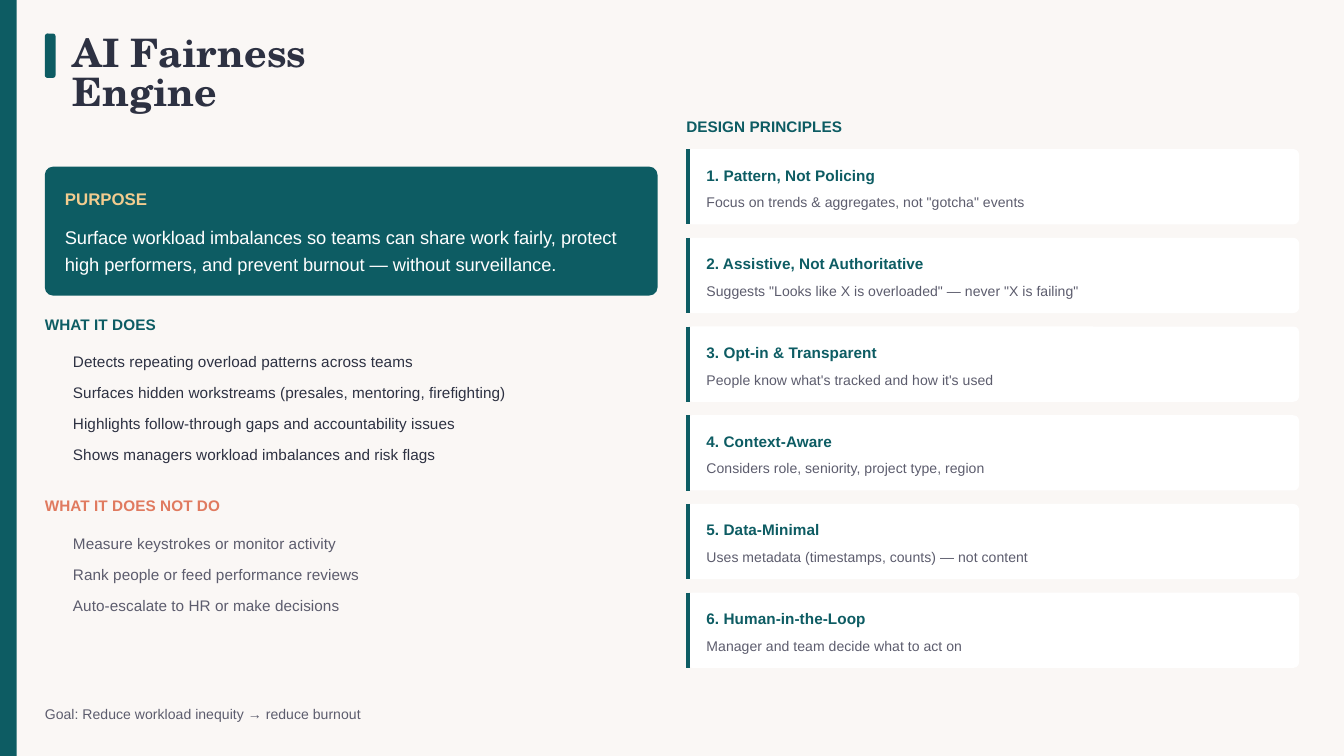
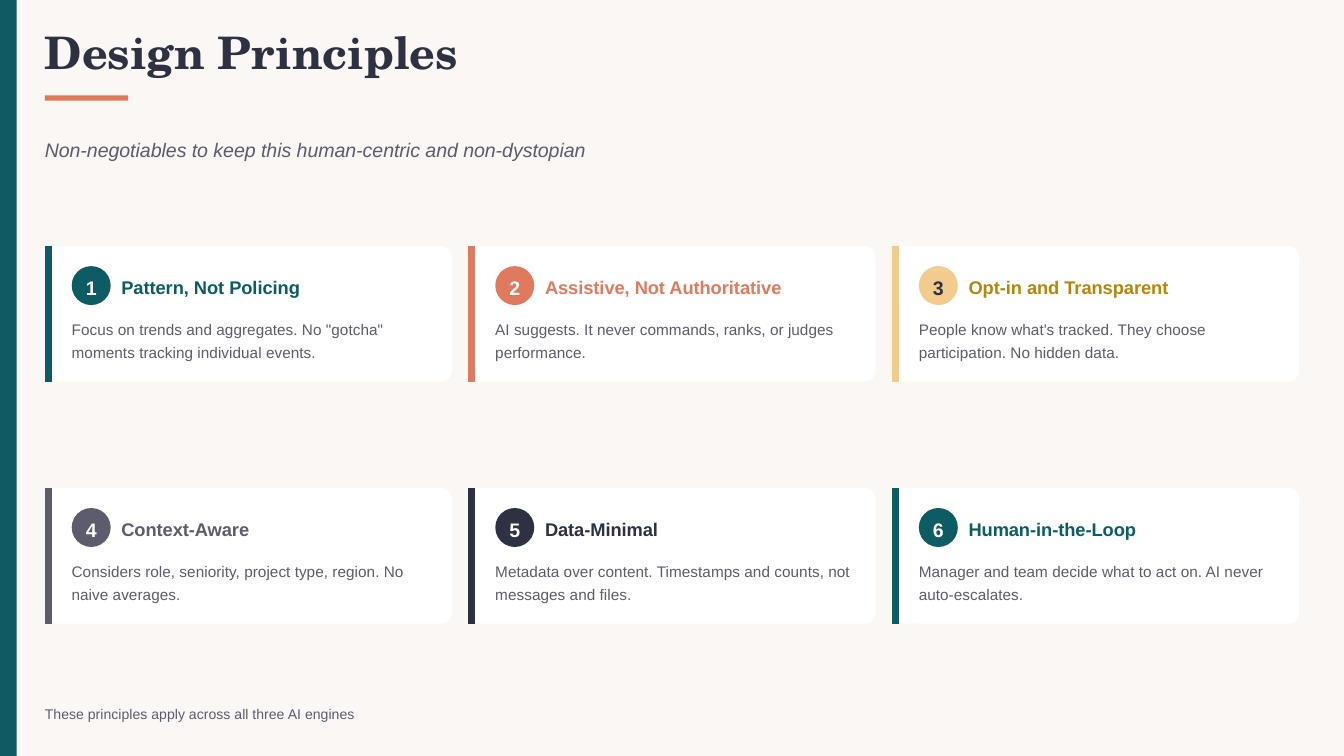
from dataclasses import dataclass

from lxml.etree import SubElement
from pptx import Presentation
from pptx.dml.color import RGBColor
from pptx.enum.shapes import MSO_CONNECTOR as Connector, MSO_SHAPE as Shape
from pptx.enum.text import MSO_ANCHOR as Anchor, PP_ALIGN as Align
from pptx.oxml.ns import qn
from pptx.util import Inches, Pt

TEAL = RGBColor(0x0D, 0x5C, 0x63)
CORAL = RGBColor(0xE0, 0x7A, 0x5F)
SAND = RGBColor(0xF2, 0xCC, 0x8F)
GOLD = RGBColor(0xB8, 0x86, 0x0B)
INK = RGBColor(0x2D, 0x31, 0x42)
GRAY = RGBColor(0x5C, 0x5C, 0x6D)
CREAM = RGBColor(0xFA, 0xF7, 0xF5)
WHITE = RGBColor(0xFF, 0xFF, 0xFF)

SANS = "Arial"
SERIF = "TeX Gyre Schola"
PAGE_WIDTH = 10
PAGE_HEIGHT = PAGE_WIDTH * 9 / 16
BAND_WIDTH = 1 / 8
MARGIN = 1 / 3
COLUMN_WIDTH = 4.56
RIGHT_COLUMN = PAGE_WIDTH - MARGIN - COLUMN_WIDTH
SMALL, BODY, LARGE, LEAD = 7.5, 8.25, 9.75, 10.5


@dataclass
class Box:
    left: float
    top: float
    width: float
    height: float

    def inner(self, dx, dy, width, height):
        return Box(self.left + dx, self.top + dy, width, height)

    def lengths(self):
        return [Inches(n) for n in (self.left, self.top, self.width, self.height)]


def write(frame, lines, size, color, bold=False, italic=False, font=SANS,
          leading=1.4, after=0, align=Align.LEFT):
    frame.word_wrap = True
    frame.margin_left = frame.margin_right = 0
    frame.margin_top = frame.margin_bottom = 0
    for index, line in enumerate(lines):
        para = frame.add_paragraph() if index else frame.paragraphs[0]
        para.text = line
        para.alignment = align
        para.line_spacing = Pt(size * leading)
        para.space_after = Pt(after)
        para.font.name = font
        para.font.size = Pt(size)
        para.font.bold = bold
        para.font.italic = italic
        para.font.color.rgb = color


def add_text(page, box, text, size, color, **style):
    lines = [text] if isinstance(text, str) else text
    write(page.shapes.add_textbox(*box.lengths()).text_frame, lines, size, color, **style)


def add_block(page, box, color, kind=Shape.RECTANGLE, rounding=None):
    block = page.shapes.add_shape(kind, *box.lengths())
    block.shadow.inherit = False
    block.fill.solid()
    block.fill.fore_color.rgb = color
    block.line.fill.background()
    if rounding is not None:
        block.adjustments[0] = rounding
    return block


def add_card(page, box, rounding, accent, weight):
    add_block(page, box, WHITE, Shape.ROUNDED_RECTANGLE, rounding)
    x = Inches(box.left) + Pt(weight / 2)
    edge = page.shapes.add_connector(
        Connector.STRAIGHT, x, Inches(box.top), x, Inches(box.top + box.height))
    edge.line.color.rgb = accent
    edge.line.width = Pt(weight)
    SubElement(edge._element.spPr, qn("a:effectLst"))


def add_page(deck, footer):
    page = deck.slides.add_slide(deck.slide_layouts[6])
    page.background.fill.solid()
    page.background.fill.fore_color.rgb = CREAM
    add_block(page, Box(0, 0, BAND_WIDTH, PAGE_HEIGHT), TEAL)
    add_text(page, Box(MARGIN, 5.23, 9.52, 0.15), footer, SMALL, GRAY)
    return page


def add_title(page, box, text, size):
    add_text(page, box, text, size, INK, bold=True, font=SERIF, leading=1)


def add_heading(page, box, text, color):
    add_text(page, box, text, BODY, color, bold=True)


def add_purpose(page, box):
    add_block(page, box, TEAL, Shape.ROUNDED_RECTANGLE, 0.065)
    add_text(page, box.inner(0.15, 0.14, 4.36, 0.17), "PURPOSE", 9, SAND, bold=True)
    add_text(page, box.inner(0.15, 0.4, 4.36, 0.41),
             "Surface workload imbalances so teams can share work fairly, protect "
             "high performers, and prevent burnout — without surveillance.",
             LARGE, WHITE, leading=1.5)


def add_list(page, box, heading, heading_color, items, color):
    add_heading(page, box.inner(0, 0, box.width, 0.16), heading, heading_color)
    add_text(page, box.inner(0.21, 0.28, box.width - 0.21, box.height - 0.28),
             items, BODY, color, after=5)


def add_principle_column(page, box, principles):
    add_heading(page, box.inner(0, 0, box.width, 0.16), "DESIGN PRINCIPLES", TEAL)
    for index, (name, detail) in enumerate(principles):
        card = box.inner(0, 0.26 + index * 0.66, box.width, 0.56)
        add_card(page, card, 0.075, TEAL, 2.25)
        add_text(page, card.inner(0.15, 0.1, 4.37, 0.16), f"{index + 1}. {name}",
                 BODY, TEAL, bold=True)
        add_text(page, card.inner(0.15, 0.31, 4.37, 0.15), detail, SMALL, GRAY)


def add_numbered_card(page, box, number, name, detail, accent, name_color, number_color):
    add_card(page, box, 0.082, accent, 3.75)
    badge = add_block(page, box.inner(0.2, 0.15, 0.29, 0.29), accent, Shape.OVAL)
    badge.text_frame.vertical_anchor = Anchor.MIDDLE
    write(badge.text_frame, [str(number)], LEAD, number_color, bold=True, align=Align.CENTER)
    add_text(page, box.inner(0.57, 0.2, 2.35, 0.19), name, LARGE, name_color, bold=True)
    add_text(page, box.inner(0.2, 0.52, 2.74, 0.34), detail, BODY, GRAY, leading=1.5)


def add_principle_grid(page, box, cards, columns=3):
    width, height = 3.03, 1.01
    step_x = (box.width - width) / (columns - 1)
    step_y = box.height - height
    for index, card in enumerate(cards):
        row, column = divmod(index, columns)
        place = box.inner(column * step_x, row * step_y, width, height)
        add_numbered_card(page, place, index + 1, *card)


def build_engine_page(deck):
    page = add_page(deck, "Goal: Reduce workload inequity → reduce burnout")
    add_block(page, Box(MARGIN, 0.25, 0.08, 0.33), TEAL, Shape.ROUNDED_RECTANGLE, 0.25)
    add_title(page, Box(0.54, 0.27, 2.45, 0.29), "AI Fairness Engine", 21)
    add_purpose(page, Box(MARGIN, 1.24, COLUMN_WIDTH, 0.96))
    add_list(page, Box(MARGIN, 2.32, 4.65, 1.13), "WHAT IT DOES", TEAL, [
        "Detects repeating overload patterns across teams",
        "Surfaces hidden workstreams (presales, mentoring, firefighting)",
        "Highlights follow-through gaps and accountability issues",
        "Shows managers workload imbalances and risk flags",
    ], INK)
    add_list(page, Box(MARGIN, 3.67, 4.65, 0.9), "WHAT IT DOES NOT DO", CORAL, [
        "Measure keystrokes or monitor activity",
        "Rank people or feed performance reviews",
        "Auto-escalate to HR or make decisions",
    ], GRAY)
    add_principle_column(page, Box(RIGHT_COLUMN, 0.85, COLUMN_WIDTH, 4.12), [
        ("Pattern, Not Policing", 'Focus on trends & aggregates, not "gotcha" events'),
        ("Assistive, Not Authoritative",
         'Suggests "Looks like X is overloaded" — never "X is failing"'),
        ("Opt-in & Transparent", "People know what's tracked and how it's used"),
        ("Context-Aware", "Considers role, seniority, project type, region"),
        ("Data-Minimal", "Uses metadata (timestamps, counts) — not content"),
        ("Human-in-the-Loop", "Manager and team decide what to act on"),
    ])


def build_principles_page(deck):
    page = add_page(deck, "These principles apply across all three AI engines")
    add_title(page, Box(MARGIN, 0.25, 4.9, 0.33), "Design Principles", 24)
    add_block(page, Box(MARGIN, 0.71, 0.62, 0.04), CORAL)
    add_text(page, Box(MARGIN, 1, 9.52, 0.2),
             "Non-negotiables to keep this human-centric and non-dystopian",
             LEAD, GRAY, italic=True)
    add_principle_grid(page, Box(MARGIN, 1.83, PAGE_WIDTH - 2 * MARGIN, 2.81), [
        ("Pattern, Not Policing",
         'Focus on trends and aggregates. No "gotcha" moments tracking individual events.',
         TEAL, TEAL, WHITE),
        ("Assistive, Not Authoritative",
         "AI suggests. It never commands, ranks, or judges performance.",
         CORAL, CORAL, WHITE),
        ("Opt-in and Transparent",
         "People know what's tracked. They choose participation. No hidden data.",
         SAND, GOLD, INK),
        ("Context-Aware",
         "Considers role, seniority, project type, region. No naive averages.",
         GRAY, GRAY, WHITE),
        ("Data-Minimal",
         "Metadata over content. Timestamps and counts, not messages and files.",
         INK, INK, WHITE),
        ("Human-in-the-Loop",
         "Manager and team decide what to act on. AI never auto-escalates.",
         TEAL, TEAL, WHITE),
    ])


def main():
    deck = Presentation()
    deck.slide_width = Inches(PAGE_WIDTH)
    deck.slide_height = Inches(PAGE_HEIGHT)
    build_engine_page(deck)
    build_principles_page(deck)
    deck.save("out.pptx")


if __name__ == "__main__":
    main()
